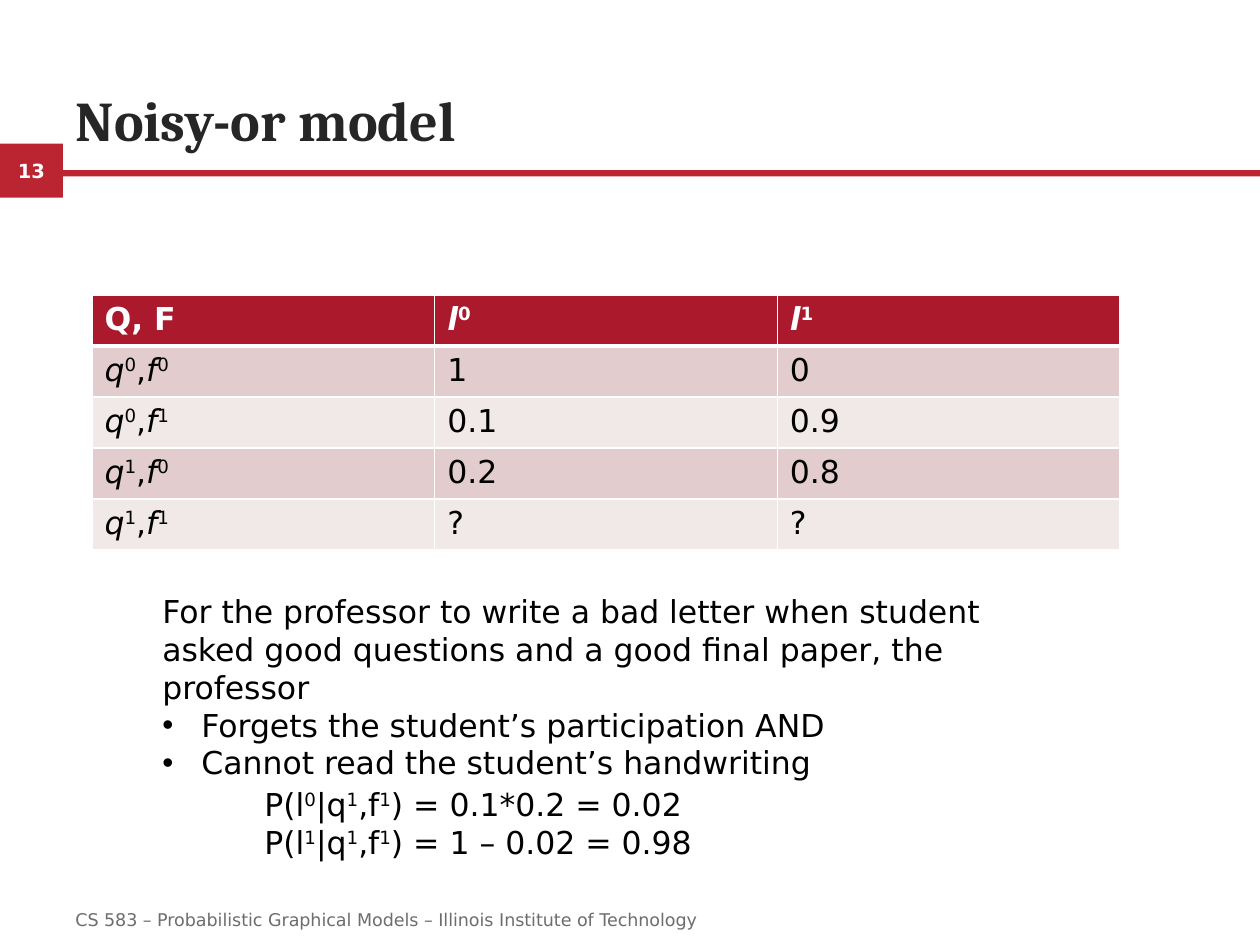
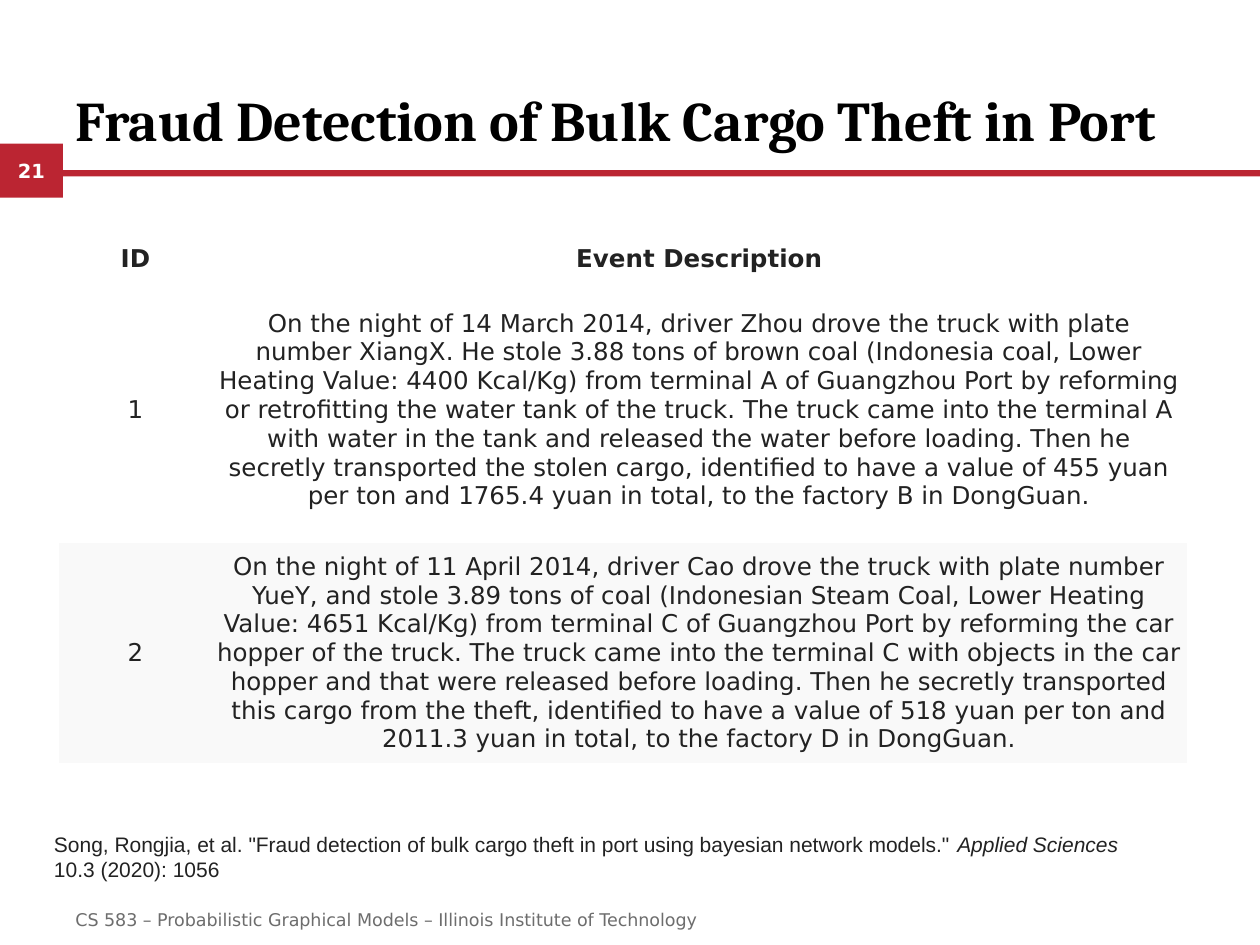
from lxml import etree
from pptx import Presentation
from pptx.dml.color import RGBColor
from pptx.enum.shapes import MSO_SHAPE as Preset
from pptx.enum.text import MSO_ANCHOR as Anchor, MSO_AUTO_SIZE as AutoSize, PP_ALIGN as Align
from pptx.oxml.ns import qn
from pptx.util import Inches, Pt

BAND_RED = RGBColor(0xBB, 0x25, 0x32)
HEADER_RED = RGBColor(0xAB, 0x19, 0x2D)
ROW_DARK = RGBColor(0xE2, 0xCC, 0xCD)
ROW_LIGHT = RGBColor(0xF1, 0xE8, 0xE8)
ROW_GREY = RGBColor(0xF9, 0xF9, 0xF9)
WHITE = RGBColor(0xFF, 0xFF, 0xFF)
BLACK = RGBColor(0x00, 0x00, 0x00)
TITLE_GREY = RGBColor(0x26, 0x26, 0x26)
TEXT_GREY = RGBColor(0x22, 0x22, 0x22)
FOOTER_GREY = RGBColor(0x6D, 0x6D, 0x6D)

BODY_FONT = "DejaVu Sans"
TITLE_FONT = "Cambria"
CITATION_FONT = "Arial"
FOOTER = "CS 583 – Probabilistic Graphical Models – Illinois Institute of Technology"

LETTER_ROWS = [
    ["Q, F", "_l_^0", "_l_^1"],
    ["_q_^0,_f_^0", "1", "0"],
    ["_q_^0,_f_^1", "0.1", "0.9"],
    ["_q_^1,_f_^0", "0.2", "0.8"],
    ["_q_^1,_f_^1", "?", "?"],
]
PROFESSOR_LINES = [
    "For the professor to write a bad letter when student asked good questions "
    "and a good final paper, the professor",
    "Forgets the student’s participation AND",
    "Cannot read the student’s handwriting",
]
PROBABILITY_LINES = [
    "P(l^0|q^1,f^1) = 0.1*0.2 = 0.02",
    "P(l^1|q^1,f^1) = 1 – 0.02 = 0.98",
]
EVENT_ROWS = [
    ["ID", "Event Description"],
    ["1", "On the night of 14 March 2014, driver Zhou drove the truck with plate number "
     "XiangX. He stole 3.88 tons of brown coal (Indonesia coal, Lower Heating Value: "
     "4400 Kcal/Kg) from terminal A of Guangzhou Port by reforming or retrofitting the "
     "water tank of the truck. The truck came into the terminal A with water in the tank "
     "and released the water before loading. Then he secretly transported the stolen "
     "cargo, identified to have a value of 455 yuan per ton and 1765.4 yuan in total, to "
     "the factory B in DongGuan."],
    ["2", "On the night of 11 April 2014, driver Cao drove the truck with plate number "
     "YueY, and stole 3.89 tons of coal (Indonesian Steam Coal, Lower Heating Value: "
     "4651 Kcal/Kg) from terminal C of Guangzhou Port by reforming the car hopper of the "
     "truck. The truck came into the terminal C with objects in the car hopper and that "
     "were released before loading. Then he secretly transported this cargo from the "
     "theft, identified to have a value of 518 yuan per ton and 2011.3 yuan in total, to "
     "the factory D in DongGuan."],
]
CITATION = ('Song, Rongjia, et al. "Fraud detection of bulk cargo theft in port using '
            'bayesian network models." _Applied Sciences_ 10.3 (2020): 1056')


def split_markup(markup):
    """Yield (text, italic, raised): _x_ is italic, ^ raises one character."""
    for index, piece in enumerate(markup.split("_")):
        plain, *raised_parts = piece.split("^")
        yield plain, index % 2 == 1, False
        for part in raised_parts:
            yield part[0], False, True
            yield part[1:], False, False


def write_paragraph(paragraph, markup, size, color, font=BODY_FONT, bold=False, align=Align.LEFT):
    paragraph.alignment = align
    for text, italic, raised in split_markup(markup):
        if not text:
            continue
        run = paragraph.add_run()
        run.text = text
        run.font.name = font
        run.font.size = Pt(size)
        run.font.bold = bold
        run.font.italic = italic
        run.font.color.rgb = color
        if raised:
            run.font._element.set("baseline", "30000")


def add_bullet(paragraph, indent):
    properties = paragraph._p.get_or_add_pPr()
    properties.set("marL", str(indent))
    properties.set("indent", str(-indent))
    etree.SubElement(properties, qn("a:buFont")).set("typeface", "Arial")
    etree.SubElement(properties, qn("a:buChar")).set("char", "•")


def add_text(slide, box, lines, size, color, font=BODY_FONT, anchor=Anchor.TOP, bullets_from=None):
    text_frame = slide.shapes.add_textbox(*map(Inches, box)).text_frame
    text_frame.word_wrap = True
    text_frame.vertical_anchor = anchor
    for index, line in enumerate(lines):
        paragraph = text_frame.add_paragraph() if index else text_frame.paragraphs[0]
        if bullets_from is not None and index >= bullets_from:
            add_bullet(paragraph, Inches(0.31))
        write_paragraph(paragraph, line, size, color, font)


def add_band(slide, box):
    shape = slide.shapes.add_shape(Preset.RECTANGLE, *map(Inches, box))
    shape.shadow.inherit = False
    shape.fill.solid()
    shape.fill.fore_color.rgb = BAND_RED
    shape.line.fill.background()
    return shape


def add_frame(presentation, title, title_color, number):
    slide = presentation.slides.add_slide(presentation.slide_layouts[5])
    text_frame = add_band(slide, (0, 1.14, 0.5, 0.43)).text_frame
    text_frame.margin_left = text_frame.margin_right = 0
    text_frame.vertical_anchor = Anchor.MIDDLE
    write_paragraph(text_frame.paragraphs[0], number, 11.1, WHITE, bold=True, align=Align.CENTER)
    add_band(slide, (0.5, 1.35, 9.5, 0.05))

    placeholder = slide.shapes.title
    placeholder.left, placeholder.top = Inches(0.5), Inches(0.38)
    placeholder.width, placeholder.height = Inches(9), Inches(0.88)
    text_frame = placeholder.text_frame
    text_frame.auto_size = AutoSize.NONE
    text_frame.vertical_anchor = Anchor.BOTTOM
    write_paragraph(text_frame.paragraphs[0], title, 32, title_color, TITLE_FONT, bold=True)

    add_text(slide, (0.5, 7.1, 8.17, 0.4), [FOOTER], 10, FOOTER_GREY, anchor=Anchor.MIDDLE)
    return slide


def set_borders(cell, **widths):
    properties = cell._tc.get_or_add_tcPr()
    for side in "LRTB":
        width = widths.get(side, 0)
        line = etree.SubElement(properties, qn(f"a:ln{side}"), w=str(Pt(width)))
        if width:
            fill = etree.SubElement(line, qn("a:solidFill"))
            etree.SubElement(fill, qn("a:srgbClr"), val=str(WHITE))
        else:
            etree.SubElement(line, qn("a:noFill"))


def add_grid(slide, left, top, widths, heights):
    frame = slide.shapes.add_table(len(heights), len(widths), Inches(left), Inches(top),
                                   Inches(sum(widths)), Inches(sum(heights)))
    table = frame.table
    for column, width in zip(table.columns, widths):
        column.width = Inches(width)
    for row, height in zip(table.rows, heights):
        row.height = Inches(height)
    return table


def fill_cell(cell, color):
    cell.fill.solid()
    cell.fill.fore_color.rgb = color


def add_letter_table(slide, left, top):
    table = add_grid(slide, left, top, [2.72] * 3, [0.405] * len(LETTER_ROWS))
    for row, texts in enumerate(LETTER_ROWS):
        header = row == 0
        color = HEADER_RED if header else (ROW_LIGHT, ROW_DARK)[row % 2]
        for column, text in enumerate(texts):
            cell = table.cell(row, column)
            set_borders(cell, L=1, R=1, T=3 if row == 1 else 1, B=3 if header else 1)
            fill_cell(cell, color)
            write_paragraph(cell.text_frame.paragraphs[0], text, 18,
                            WHITE if header else BLACK, bold=header)


def add_event_table(slide, left, top):
    table = add_grid(slide, left, top, [1.21, 7.74], [0.31, 2.1, 1.76])
    for row, texts in enumerate(EVENT_ROWS):
        for column, text in enumerate(texts):
            cell = table.cell(row, column)
            set_borders(cell, T=0.75, B=0.75)
            fill_cell(cell, ROW_GREY if row == 2 else WHITE)
            cell.vertical_anchor = Anchor.MIDDLE
            cell.margin_left = cell.margin_right = Inches(0.04)
            cell.margin_top = Inches(0.03 if row else 0.05)
            cell.margin_bottom = Inches(0.03)
            write_paragraph(cell.text_frame.paragraphs[0], text, 14, TEXT_GREY,
                            bold=row == 0, align=Align.CENTER)


def build_noisy_or(presentation):
    slide = add_frame(presentation, "Noisy-or model", TITLE_GREY, "13")
    add_letter_table(slide, 0.73, 2.34)
    add_text(slide, (1.19, 4.65, 7.24, 1.31), PROFESSOR_LINES, 18, BLACK, bullets_from=1)
    add_text(slide, (2, 6.18, 4.68, 0.71), PROBABILITY_LINES, 18, BLACK)


def build_fraud_detection(presentation):
    slide = add_frame(presentation, "Fraud Detection of Bulk Cargo Theft in Port", BLACK, "21")
    add_text(slide, (0.33, 6.55, 8.75, 0.5), [CITATION], 12, TEXT_GREY, CITATION_FONT)
    add_event_table(slide, 0.47, 1.89)


def main():
    presentation = Presentation()
    presentation.slide_width, presentation.slide_height = Inches(10), Inches(7.5)
    build_noisy_or(presentation)
    build_fraud_detection(presentation)
    presentation.save("out.pptx")


if __name__ == "__main__":
    main()
